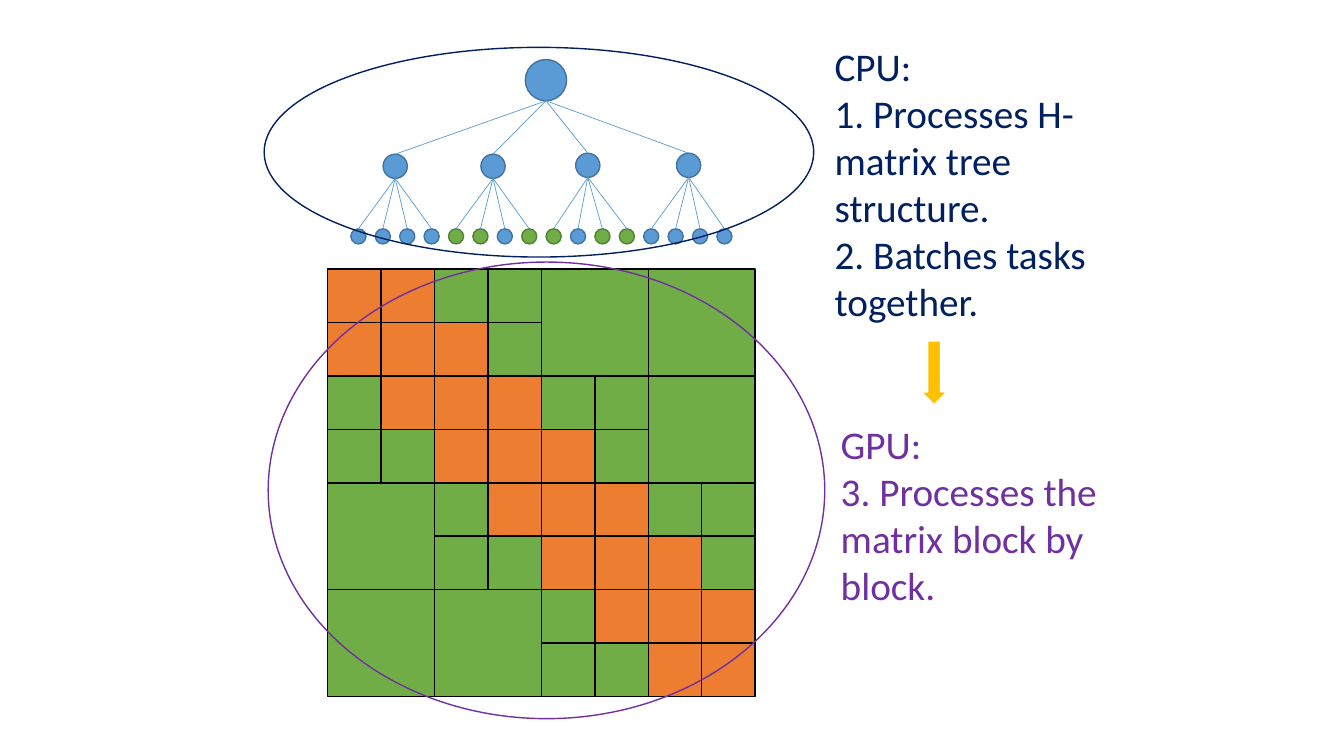
import pptx
import pptx.util
import pptx.dml.color
import pptx.enum.shapes
import pptx.enum.text
import pptx.oxml
import pptx.oxml.ns

Inches = pptx.util.Inches
Pt = pptx.util.Pt
SHAPE = pptx.enum.shapes.MSO_SHAPE
COLORS = {
    "node": "5B9BD5", "node edge": "43739E",
    "low rank": "70AD47", "low rank edge": "538035",
    "dense": "ED7D31", "block edge": "000000",
    "cpu": "002060", "gpu": "7030A0",
    "arrow": "FFC000", "arrow edge": "FFFFFF",
}


def rgb(name):
    return pptx.dml.color.RGBColor.from_string(COLORS[name])


def add_item(parent, kind, left, top, width, height, *, fill=None, edge=None,
             weight=1, lines=(), color=None, size=28):
    """Add a preset shape, or a text box when kind is None."""
    place = [Inches(value) for value in (left, top, width, height)]
    if kind is None:
        box = parent.add_textbox(*place)
        frame = box.text_frame
        frame.word_wrap = True
        frame.auto_size = pptx.enum.text.MSO_AUTO_SIZE.SHAPE_TO_FIT_TEXT
        for number, line in enumerate(lines):
            para = frame.add_paragraph() if number else frame.paragraphs[0]
            span = para.add_run()
            span.text = line
            span.font.name = "Calibri"
            span.font.size = Pt(size)
            span.font.color.rgb = rgb(color)
        return box
    shape = parent.add_shape(kind, *place)
    shape.shadow.inherit = False
    if fill:
        shape.fill.solid()
        shape.fill.fore_color.rgb = rgb(fill)
    else:
        shape.fill.background()
    shape.line.color.rgb = rgb(edge)
    shape.line.width = Pt(weight)
    return shape


deck = pptx.Presentation()
deck.slide_width = Inches(13.33)
deck.slide_height = Inches(7.5)
page = deck.slides.add_slide(deck.slide_layouts[6])

# Tree: one root, four branches, four leaves under each branch
tree = page.shapes.add_group_shape().shapes
root = add_item(tree, SHAPE.OVAL, 5.21, 0.59, 0.41, 0.41,
                fill="node", edge="node edge")
branches = [add_item(tree, SHAPE.OVAL, left, top, 0.24, 0.24,
                     fill="node", edge="node edge")
            for left, top in ((3.8, 1.53), (4.77, 1.53), (5.71, 1.52), (6.71, 1.52))]

LEAF_KINDS = "DDDD" "LLDL" "LDLL" "DDDD"  # D: dense, L: low rank
leaf_step = 3.63 / (len(LEAF_KINDS) - 1)
leaves = []
for number, kind in enumerate(LEAF_KINDS):
    fill = "low rank" if kind == "L" else "node"
    leaves.append(add_item(tree, SHAPE.OVAL, 3.48 + number * leaf_step, 2.27, 0.15, 0.15,
                           fill=fill, edge=fill + " edge"))

links = [(branches[number // 4], leaf) for number, leaf in enumerate(leaves)]
links += [(root, branch) for branch in branches]
for parent, child in links:
    link = tree.add_connector(pptx.enum.shapes.MSO_CONNECTOR.STRAIGHT,
                              parent.left + parent.width // 2, parent.top + parent.height,
                              child.left + child.width // 2, child.top)
    link.end_connect(child, 0)
    link.line.color.rgb = rgb("node")
    link.line.width = Pt(0.5)
    properties = link._element.spPr
    properties.append(pptx.oxml.parse_xml(
        "<a:effectLst %s/>" % pptx.oxml.ns.nsdecls("a")))

add_item(page.shapes, SHAPE.OVAL, 2.62, 0.47, 5.45, 2.08, edge="cpu")

add_item(page.shapes, None, 8.18, 0.37, 2.75, 2.93, color="cpu", lines=(
    "CPU:", "1. Processes H-matrix tree structure.", "2. Batches tasks together."))
add_item(page.shapes, None, 8.24, 4.12, 2.75, 1.99, color="gpu", lines=(
    "GPU:", "3. Processes the matrix block by block."))

# Matrix: 4 by 4 blocks; those on or next to the diagonal split into 2 by 2 cells
MATRIX_LEFT, MATRIX_TOP, CELL = 3.25, 2.67, 0.53
matrix = page.shapes.add_group_shape().shapes
for row in range(8):
    for column in range(8):
        span = 1 if abs(row // 2 - column // 2) <= 1 else 2
        if row % span or column % span:
            continue
        add_item(matrix, SHAPE.RECTANGLE,
                 MATRIX_LEFT + column * CELL, MATRIX_TOP + row * CELL,
                 span * CELL, span * CELL,
                 fill="dense" if abs(row - column) <= 1 else "low rank",
                 edge="block edge")

add_item(page.shapes, SHAPE.OVAL, 2.66, 2.6, 5.52, 4.53, edge="gpu")
add_item(page.shapes, SHAPE.DOWN_ARROW, 9.13, 3.38, 0.27, 0.64,
         fill="arrow", edge="arrow edge", weight=1.5)

deck.save("out.pptx")
